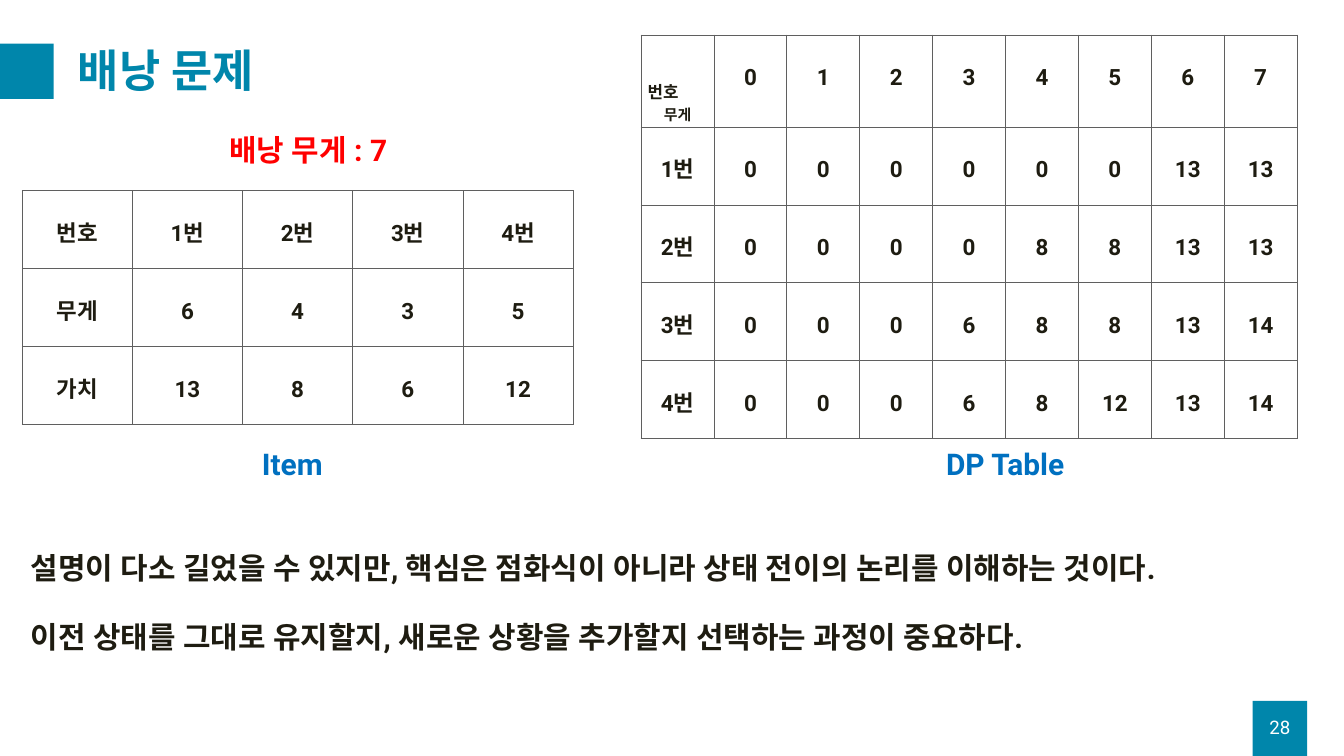
from lxml import etree
from pptx import Presentation
from pptx.dml.color import RGBColor
from pptx.enum.shapes import MSO_SHAPE
from pptx.enum.text import MSO_ANCHOR, PP_ALIGN
from pptx.oxml.ns import qn
from pptx.util import Inches, Pt

FONT = "Roboto"
COLORS = {"teal": "0086AB", "ink": "1E1C11", "blue": "0070C0",
          "red": "FF0000", "white": "FFFFFF", "grid": "5F5F5F"}


def add_run(paragraph, text, size, color, bold=True):
    """Add a run in the slide font, for both Latin and Korean text."""
    run = paragraph.add_run()
    run.text = text
    run.font.name = FONT
    run.font.size = Pt(size)
    run.font.bold = bold
    run.font.color.rgb = RGBColor.from_string(COLORS[color])
    etree.SubElement(run.font._element, qn("a:ea"), typeface=FONT)


def add_grid(rows, left, top, col_width, row_heights):
    """Add a white table with thin grey borders and centred bold text."""
    frame = slide.shapes.add_table(
        len(rows), len(rows[0]), Inches(left), Inches(top),
        Inches(col_width * len(rows[0])), Inches(sum(row_heights)))
    grid = frame.table
    for column in grid.columns:
        column.width = Inches(col_width)
    for r, values in enumerate(rows):
        grid.rows[r].height = Inches(row_heights[r])
        for c, value in enumerate(values):
            cell = grid.cell(r, c)
            cell_props = cell._tc.get_or_add_tcPr()
            for side in ("a:lnL", "a:lnR", "a:lnT", "a:lnB"):
                border = etree.SubElement(cell_props, qn(side), w=str(Pt(1)))
                line_fill = etree.SubElement(border, qn("a:solidFill"))
                etree.SubElement(line_fill, qn("a:srgbClr"), val=COLORS["grid"])
            cell.fill.solid()
            cell.fill.fore_color.rgb = RGBColor.from_string(COLORS["white"])
            paragraph = cell.text_frame.paragraphs[0]
            paragraph.alignment = PP_ALIGN.CENTER
            paragraph.line_spacing = 2.0
            corner = len(rows) == 5 and r == c == 0
            if corner:
                cell.vertical_anchor = MSO_ANCHOR.BOTTOM
            add_run(paragraph, str(value), 16 if corner else 24, "ink")


prs = Presentation()
prs.slide_width, prs.slide_height = Inches(20), Inches(11.25)
slide = prs.slides.add_slide(prs.slide_layouts[5])

# Teal blocks beside the title and behind the page number
for left, top in [(18.64, 10.43), (-0.01, 0.65)]:
    block = slide.shapes.add_shape(MSO_SHAPE.RECTANGLE, Inches(left), Inches(top),
                                   Inches(0.81), Inches(0.82))
    block.shadow.inherit = False
    block.fill.solid()
    block.fill.fore_color.rgb = RGBColor.from_string(COLORS["teal"])
    block.line.fill.background()

title = slide.shapes.title
title.left, title.top = Inches(1.06), Inches(0.5)
title.width, title.height = Inches(18.25), Inches(1.18)
title.text_frame.vertical_anchor = MSO_ANCHOR.MIDDLE
heading = title.text_frame.paragraphs[0]
heading.alignment = PP_ALIGN.LEFT
heading.line_spacing = 0.9
add_run(heading, "배낭 문제", 48, "teal")

item_rows = [
    ["번호", "1번", "2번", "3번", "4번"],
    ["무게", 6, 4, 3, 5],
    ["가치", 13, 8, 6, 12],
]
add_grid(item_rows, 0.33, 2.84, 1.64, [1.16] * 3)

dp_rows = [
    ["무게", *range(8)],
    ["1번", 0, 0, 0, 0, 0, 0, 13, 13],
    ["2번", 0, 0, 0, 0, 8, 8, 13, 13],
    ["3번", 0, 0, 0, 6, 8, 8, 13, 14],
    ["4번", 0, 0, 0, 6, 8, 12, 13, 14],
]
add_grid(dp_rows, 9.54, 0.52, 1.085, [1.37] + [1.16] * 4)

# Left, top, width, height, size, colour, bold, paragraphs
texts = [
    (0.36, 8.13, 19.16, 1.72, 32, "ink", True,
     ["설명이 다소 길었을 수 있지만, 핵심은 점화식이 아니라 상태 전이의 논리를 이해하는 것이다.",
      "이전 상태를 그대로 유지할지, 새로운 상황을 추가할지 선택하는 과정이 중요하다."]),
    (3.8, 6.58, 3.14, 0.64, 32, "blue", True, ["Item"]),
    (13.98, 6.58, 3.14, 0.64, 32, "blue", True, ["DP Table"]),
    (3.31, 1.91, 6.28, 0.64, 32, "red", True, ["배낭 무게 : 7"]),
    (9.54, 1.17, 0.8, 0.4, 18, "ink", True, ["번호"]),
    (18.64, 10.52, 0.81, 0.6, 20, "white", False, ["28"]),
]
for left, top, width, height, size, color, bold, lines in texts:
    box = slide.shapes.add_textbox(Inches(left), Inches(top), Inches(width), Inches(height))
    frame = box.text_frame
    frame.word_wrap = True
    for i, line in enumerate(lines):
        paragraph = frame.add_paragraph() if i else frame.paragraphs[0]
        if i:
            paragraph.space_before = Pt(36)
        add_run(paragraph, line, size, color, bold)

# The page number, added last, sits in the middle of its block
frame.vertical_anchor = MSO_ANCHOR.MIDDLE
paragraph.alignment = PP_ALIGN.CENTER

prs.save("out.pptx")
